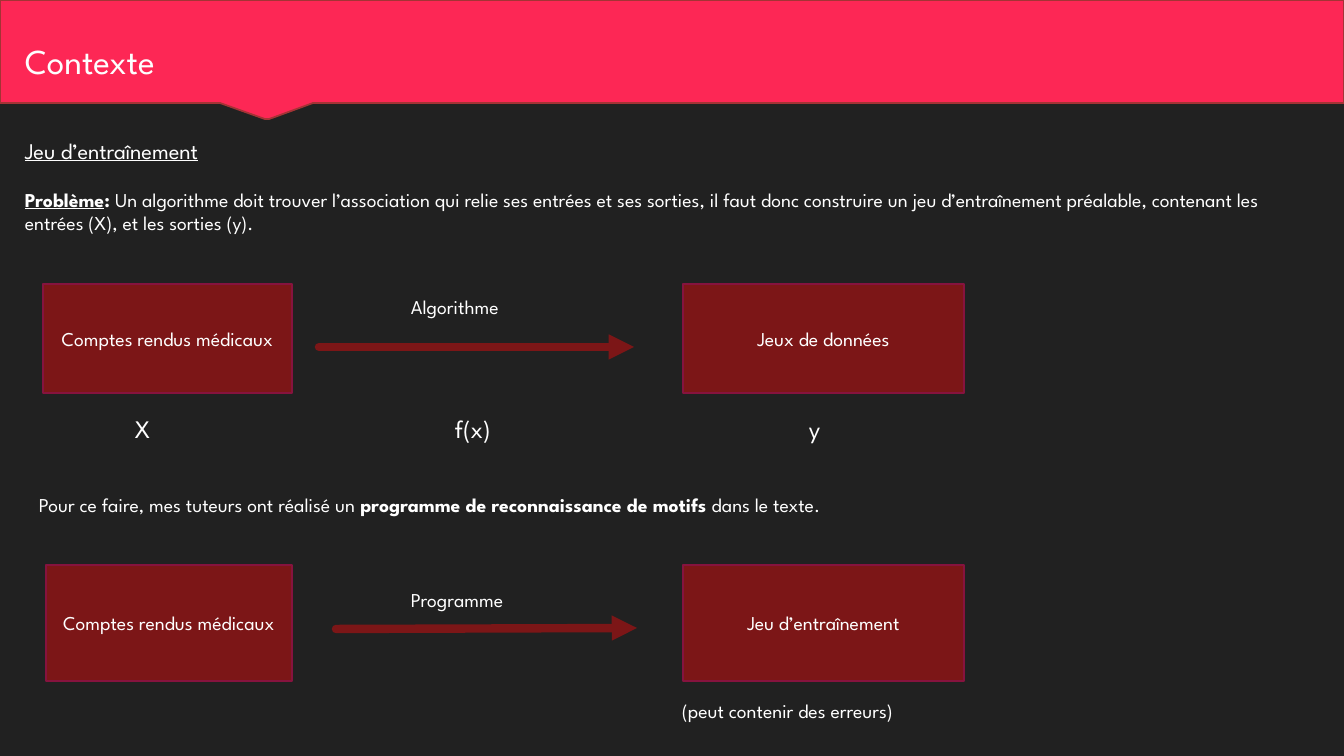
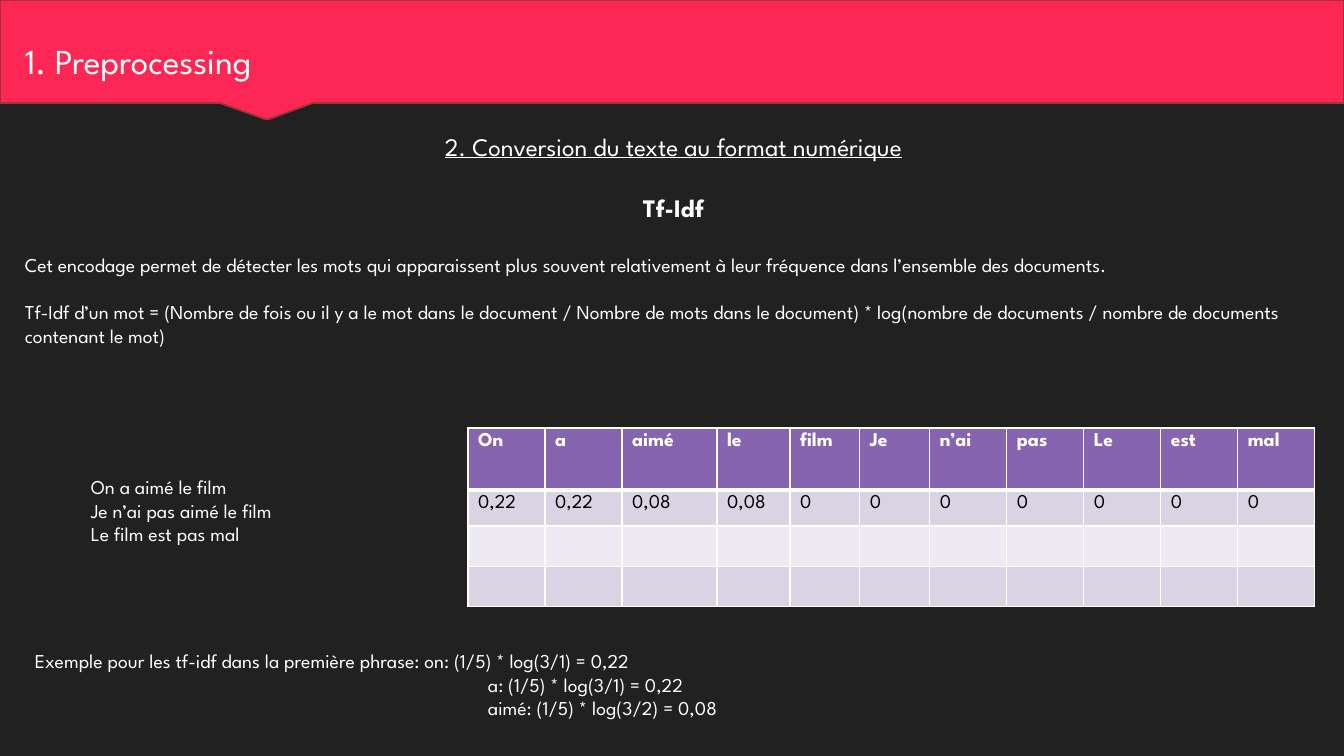
from dataclasses import dataclass

from lxml import etree
from pptx import Presentation
from pptx.dml.color import RGBColor
from pptx.enum.shapes import MSO_CONNECTOR, MSO_SHAPE
from pptx.enum.text import MSO_ANCHOR, PP_ALIGN
from pptx.oxml.ns import qn
from pptx.util import Emu, Pt

LEFT, CENTER = PP_ALIGN.LEFT, PP_ALIGN.CENTER
TOP, MIDDLE, BOTTOM = MSO_ANCHOR.TOP, MSO_ANCHOR.MIDDLE, MSO_ANCHOR.BOTTOM
RECTANGLE = MSO_SHAPE.RECTANGLE
STRAIGHT = MSO_CONNECTOR.STRAIGHT

WIDTH, HEIGHT = 1344, 756
EMU_PER_PX = 914400 / 100.8
FONT = "League Spartan"
COLORS = {
    "background": "212121",
    "band": "FD2755",
    "band_line": "A43335",
    "title": "FEFEFE",
    "text": "FFFFFF",
    "box": "7C1617",
    "box_line": "86133E",
    "header": "8664B0",
    "odd_row": "D9D3E4",
    "even_row": "EDEAF2",
    "cell_text": "000000",
    "grid": "FFFFFF",
    "shadow": "000000",
}
BAND_OUTLINE = [(0, 0), (0, 103), (220, 103), (262, 118), (265, 119),
                (269, 119), (272, 118), (313, 103), (WIDTH, 103)]


def px(length):
    return Emu(round(length * EMU_PER_PX))


def color(name):
    return RGBColor.from_string(COLORS[name])


def add_xml(parent, tag, **attributes):
    return etree.SubElement(parent, qn(tag), attributes)


@dataclass
class Line:
    """One paragraph: text is a string, or (text, marks) pairs with marks b and u."""
    text: object
    size: int = 14
    align: object = LEFT
    before: int = 0
    indent: int = 0
    color: str = "text"

    def runs(self):
        return [(self.text, "")] if isinstance(self.text, str) else self.text


class Deck:
    def __init__(self):
        self.presentation = Presentation()
        self.presentation.slide_width = px(WIDTH)
        self.presentation.slide_height = px(HEIGHT)
        self.slide = None

    def new_slide(self, title):
        layout = self.presentation.slide_layouts[6]
        self.slide = self.presentation.slides.add_slide(layout)
        background = self.slide.background.fill
        background.solid()
        background.fore_color.rgb = color("background")
        self.band()
        self.title(title)

    def band(self):
        builder = self.slide.shapes.build_freeform(WIDTH, 0, scale=EMU_PER_PX)
        builder.add_line_segments(BAND_OUTLINE, close=True)
        self.paint(builder.convert_to_shape(), "band", "band_line")

    def title(self, text):
        frame = self.text(15, 16, 1088, 70, [Line(text, 25, color="title")], BOTTOM)
        run_properties = frame.paragraphs[0].runs[0]._r.get_or_add_rPr()
        effects = etree.Element(qn("a:effectLst"))
        shadow = add_xml(effects, "a:outerShdw", blurRad="38100", dist="38100",
                         dir="2700000", algn="tl")
        tint = add_xml(shadow, "a:srgbClr", val=COLORS["shadow"])
        add_xml(tint, "a:alpha", val="43000")
        run_properties.find(qn("a:solidFill")).addnext(effects)

    def paint(self, shape, fill, line):
        shape.shadow.inherit = False
        shape.fill.solid()
        shape.fill.fore_color.rgb = color(fill)
        shape.line.color.rgb = color(line)
        shape.line.width = Pt(1.25)

    def add_lines(self, frame, lines):
        for number, line in enumerate(lines):
            paragraph = frame.add_paragraph() if number else frame.paragraphs[0]
            paragraph.alignment = line.align
            paragraph.space_before = Pt(line.before)
            if line.indent:
                paragraph._p.get_or_add_pPr().set("marL", str(px(line.indent)))
            for text, marks in line.runs():
                run = paragraph.add_run()
                run.text = text
                run.font.size = Pt(line.size)
                run.font.name = FONT
                run.font.color.rgb = color(line.color)
                run.font.bold = "b" in marks
                run.font.underline = "u" in marks

    def text(self, left, top, width, height, lines, anchor=TOP):
        shape = self.slide.shapes.add_textbox(px(left), px(top), px(width), px(height))
        frame = shape.text_frame
        frame.word_wrap = True
        frame.vertical_anchor = anchor
        self.add_lines(frame, lines)
        return frame

    def box(self, left, top, width, height, text):
        shape = self.slide.shapes.add_shape(
            RECTANGLE, px(left), px(top), px(width), px(height))
        self.paint(shape, "box", "box_line")
        shape.text_frame.vertical_anchor = MIDDLE
        self.add_lines(shape.text_frame, [Line(text, align=CENTER)])

    def arrow(self, start_x, start_y, end_x, end_y):
        connector = self.slide.shapes.add_connector(
            STRAIGHT, px(start_x), px(start_y), px(end_x), px(end_y))
        connector.line.color.rgb = color("box")
        connector.line.width = Pt(6)
        outline = connector.line._get_or_add_ln()
        outline.set("cap", "rnd")
        add_xml(outline, "a:tailEnd", type="triangle")
        add_xml(connector._element.spPr, "a:effectLst")

    def table(self, left, top, widths, heights, rows):
        """Fill the first rows with text; the first one is the header."""
        shape = self.slide.shapes.add_table(
            len(heights), len(widths), px(left), px(top),
            px(sum(widths)), px(sum(heights)))
        table = shape.table
        for column, width in zip(table.columns, widths):
            column.width = px(width)
        for number, height in enumerate(heights):
            table.rows[number].height = px(height)
            fill = "header" if number == 0 else "odd_row" if number % 2 else "even_row"
            for cell in table.rows[number].cells:
                self.cell_borders(cell, number)
                cell.fill.solid()
                cell.fill.fore_color.rgb = color(fill)
        for number, texts in enumerate(rows):
            marks, text_color = ("", "cell_text") if number else ("b", "text")
            for cell, text in zip(table.rows[number].cells, texts):
                self.add_lines(cell.text_frame, [Line([(text, marks)], color=text_color)])

    def cell_borders(self, cell, row):
        """Thin grid lines, with a thick one under the header."""
        thick_side = {0: "B", 1: "T"}.get(row)
        for side in "LRTB":
            width = Pt(3 if side == thick_side else 1)
            border = add_xml(cell._tc.get_or_add_tcPr(), f"a:ln{side}", w=str(width))
            fill = add_xml(border, "a:solidFill")
            add_xml(fill, "a:srgbClr", val=COLORS["grid"])


def context_slide(deck):
    deck.new_slide("Contexte")
    deck.text(15, 132, 1280, 109, [
        Line([("Jeu d’entraînement", "u")], 16),
        Line([("Problème", "bu"), (": ", "b"),
              ("Un algorithme doit trouver l’association qui relie ses entrées et ses "
               "sorties, il faut donc construire un jeu d’entraînement préalable, "
               "contenant les entrées (X), et les sorties (y).", "")], before=17),
    ])
    deck.box(43, 284, 249, 109, "Comptes rendus médicaux")
    deck.box(683, 284, 281, 109, "Jeux de données")
    deck.arrow(319, 347, 634, 347)
    deck.text(401, 290, 132, 34, [Line("Algorithme")])
    for left, symbol in ((125, "X"), (445, "f(x)"), (799, "y")):
        deck.text(left, 408, 107, 40, [Line(symbol, 18)])

    deck.text(29, 488, 1211, 34, [
        Line([("Pour ce faire, mes tuteurs ont réalisé un ", ""),
              ("programme de reconnaissance de motifs", "b"),
              (" dans le texte.", "")]),
    ])
    deck.box(46, 565, 246, 116, "Comptes rendus médicaux")
    deck.box(683, 565, 281, 116, "Jeu d’entraînement")
    deck.arrow(336, 629, 637, 628)
    deck.text(401, 583, 239, 34, [Line("Programme")])
    deck.text(672, 694, 281, 34, [Line("(peut contenir des erreurs)")])


def preprocessing_slide(deck):
    deck.new_slide("1. Preprocessing")
    deck.text(15, 126, 1317, 251, [
        Line([("2. Conversion du texte au format numérique", "u")], 18, CENTER),
        Line([("Tf-Idf", "b")], 18, CENTER, before=22),
        Line("Cet encodage permet de détecter les mots qui apparaissent plus souvent "
             "relativement à leur fréquence dans l’ensemble des documents.", before=22),
        Line("Tf-Idf d’un mot = (Nombre de fois ou il y a le mot dans le document / "
             "Nombre de mots dans le document) * log(nombre de documents / nombre de "
             "documents contenant le mot)", before=17),
    ])
    words = ["On", "a", "aimé", "le", "film", "Je", "n’ai", "pas", "Le", "est", "mal"]
    scores = ["0,22", "0,22", "0,08", "0,08"] + ["0"] * 7
    deck.table(468, 428, [77, 77, 95, 73, 70, 70] + [77] * 5, [62, 36, 40, 40],
               [words, scores])
    deck.text(81, 470, 387, 82, [
        Line("On a aimé le film"),
        Line("Je n’ai pas aimé le film"),
        Line("Le film est pas mal"),
    ])
    deck.text(25, 644, 1116, 82, [
        Line("Exemple pour les tf-idf dans la première phrase: "
             "on: (1/5) * log(3/1) = 0,22"),
        Line("a: (1/5) * log(3/1) = 0,22", indent=453),
        Line("aimé: (1/5) * log(3/2) = 0,08", indent=453),
    ])


def main():
    deck = Deck()
    context_slide(deck)
    preprocessing_slide(deck)
    deck.presentation.save("out.pptx")


if __name__ == "__main__":
    main()
